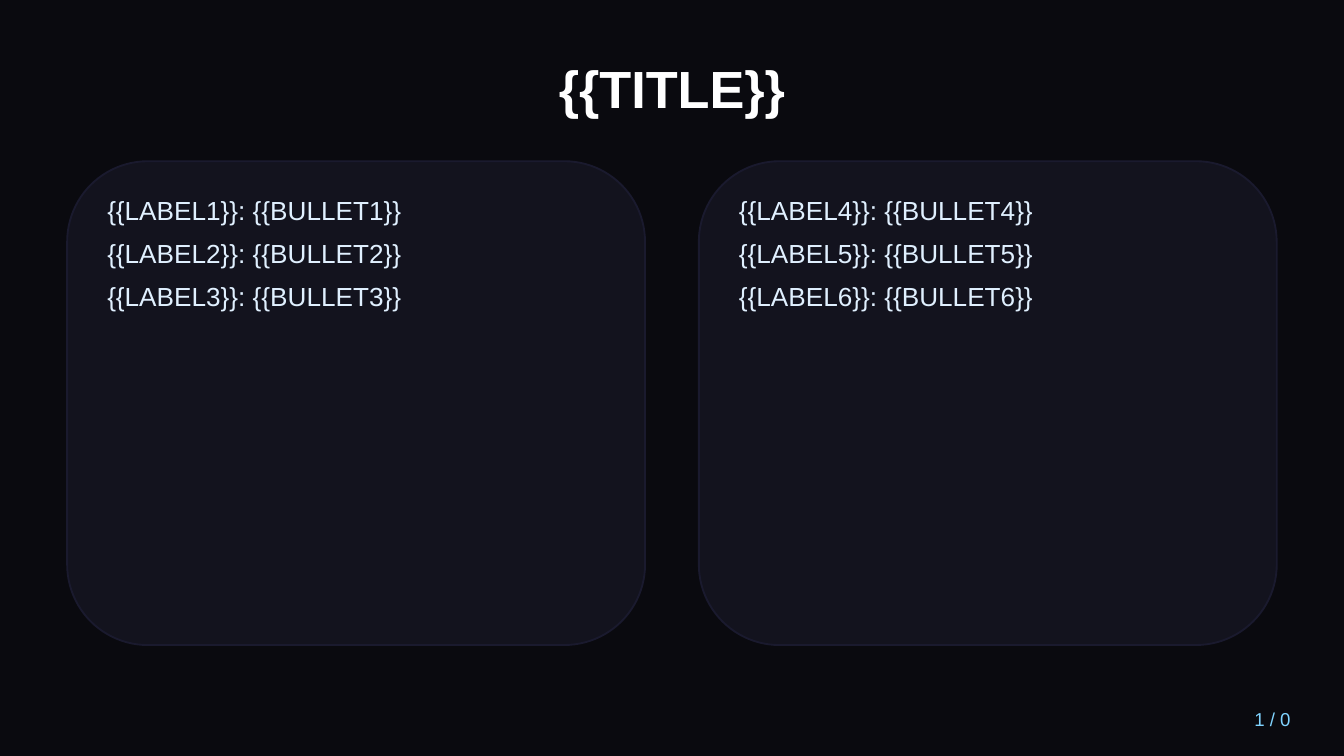
"""Build a dark slide with a title, two rounded panels of labelled bullets and a page number."""
from dataclasses import dataclass

import lxml.etree
import pptx
import pptx.dml.color
import pptx.enum.shapes
import pptx.enum.text
import pptx.oxml.ns
import pptx.slide
import pptx.util

Inches = pptx.util.Inches
Align = pptx.enum.text.PP_ALIGN
Anchor = pptx.enum.text.MSO_ANCHOR

COLORS = {
    "background": "0A0A0F",
    "panel": "151520",
    "border": "1A1A2E",
    "title": "FFFFFF",
    "body": "E0F0FF",
    "page": "80D4FF",
}
FONT = "Arial"
PANEL_OPACITY = 90
PADDING = 0.2


@dataclass(frozen=True)
class Box:
    left: float
    top: float
    width: float
    height: float

    def lengths(self) -> tuple:
        return tuple(Inches(n) for n in (self.left, self.top, self.width, self.height))

    def inset(self, gap: float) -> "Box":
        return Box(self.left + gap, self.top + gap, self.width - 2 * gap, self.height - 2 * gap)


@dataclass(frozen=True)
class Panel:
    box: Box
    numbers: range


PANELS = [
    Panel(Box(0.5 + 4.7 * column, 1.2, 4.3, 3.6), range(3 * column + 1, 3 * column + 4))
    for column in range(2)
]


def rgb(role: str) -> pptx.dml.color.RGBColor:
    return pptx.dml.color.RGBColor.from_string(COLORS[role])


def add_text(
    slide: pptx.slide.Slide,
    box: Box,
    lines: list[str],
    *,
    size: float,
    color: str,
    bold: bool = False,
    align: Align = Align.LEFT,
    anchor: Anchor = Anchor.TOP,
    space_after: float = 0,
) -> None:
    frame = slide.shapes.add_textbox(*box.lengths()).text_frame
    frame.word_wrap = True
    frame.vertical_anchor = anchor
    frame.text = "\n".join(lines)
    for paragraph in frame.paragraphs:
        paragraph.alignment = align
        paragraph.space_after = pptx.util.Pt(space_after)
        for run in paragraph.runs:
            run.font.name = FONT
            run.font.size = pptx.util.Pt(size)
            run.font.bold = bold
            run.font.color.rgb = rgb(color)


def add_panel(slide: pptx.slide.Slide, panel: Panel) -> None:
    card = slide.shapes.add_shape(
        pptx.enum.shapes.MSO_SHAPE.ROUNDED_RECTANGLE, *panel.box.lengths()
    )
    card.shadow.inherit = False
    card.fill.solid()
    card.fill.fore_color.rgb = rgb("panel")
    qn = pptx.oxml.ns.qn
    fill_color = card.fill._xPr.find(qn("a:solidFill")).find(qn("a:srgbClr"))
    lxml.etree.SubElement(fill_color, qn("a:alpha"), val=str(PANEL_OPACITY * 1000))
    card.line.color.rgb = rgb("border")
    card.line.width = pptx.util.Pt(1)
    bullets = [f"{{{{LABEL{n}}}}}: {{{{BULLET{n}}}}}" for n in panel.numbers]
    add_text(slide, panel.box.inset(PADDING), bullets, size=14, color="body", space_after=6)


def main() -> None:
    presentation = pptx.Presentation()
    presentation.slide_width = Inches(10)
    presentation.slide_height = Inches(10 * 9 / 16)
    slide = presentation.slides.add_slide(presentation.slide_layouts[6])
    slide.background.fill.solid()
    slide.background.fill.fore_color.rgb = rgb("background")

    add_text(slide, Box(0.5, 0.3, 9, 0.7), ["{{TITLE}}"], size=28, color="title",
             bold=True, align=Align.CENTER, anchor=Anchor.MIDDLE)
    for panel in PANELS:
        add_panel(slide, panel)
    add_text(slide, Box(8.5, 5.2, 1.2, 0.3), ["1 / 0"], size=10, color="page",
             align=Align.RIGHT, anchor=Anchor.MIDDLE)

    presentation.save("out.pptx")


if __name__ == "__main__":
    main()
